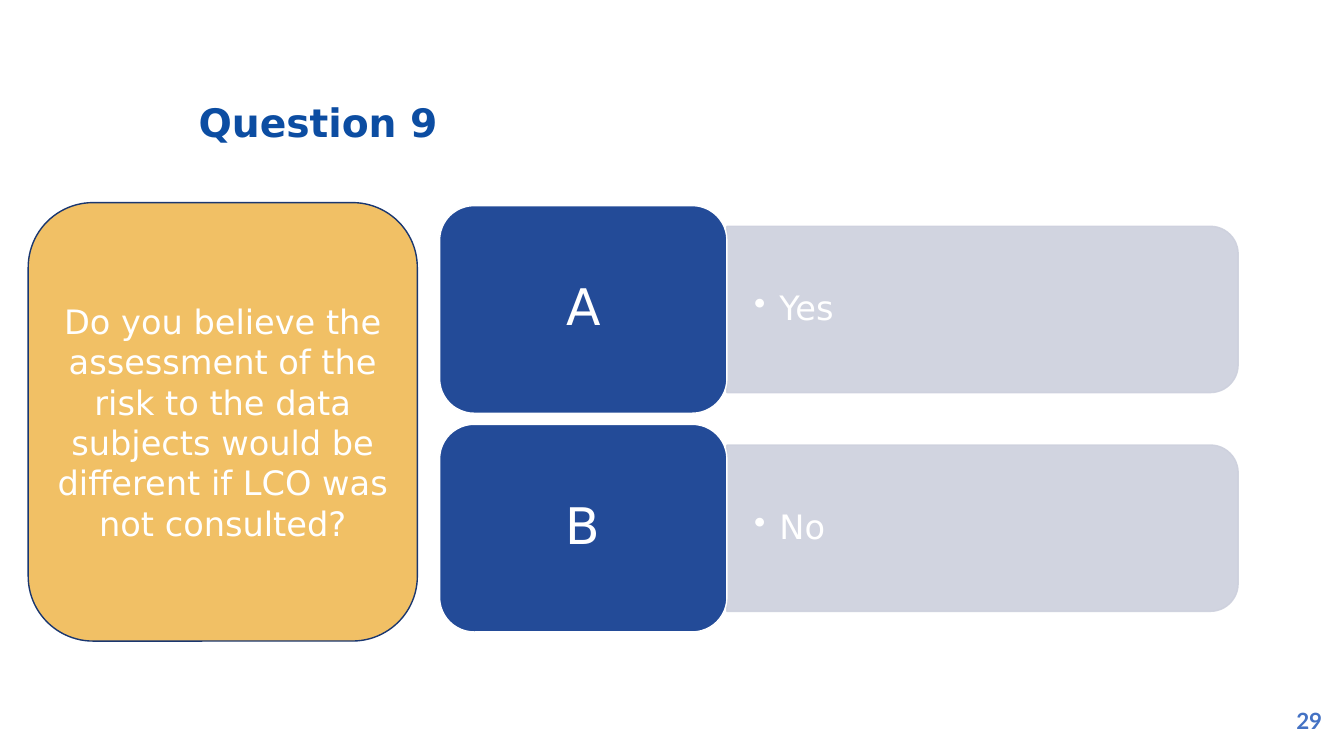
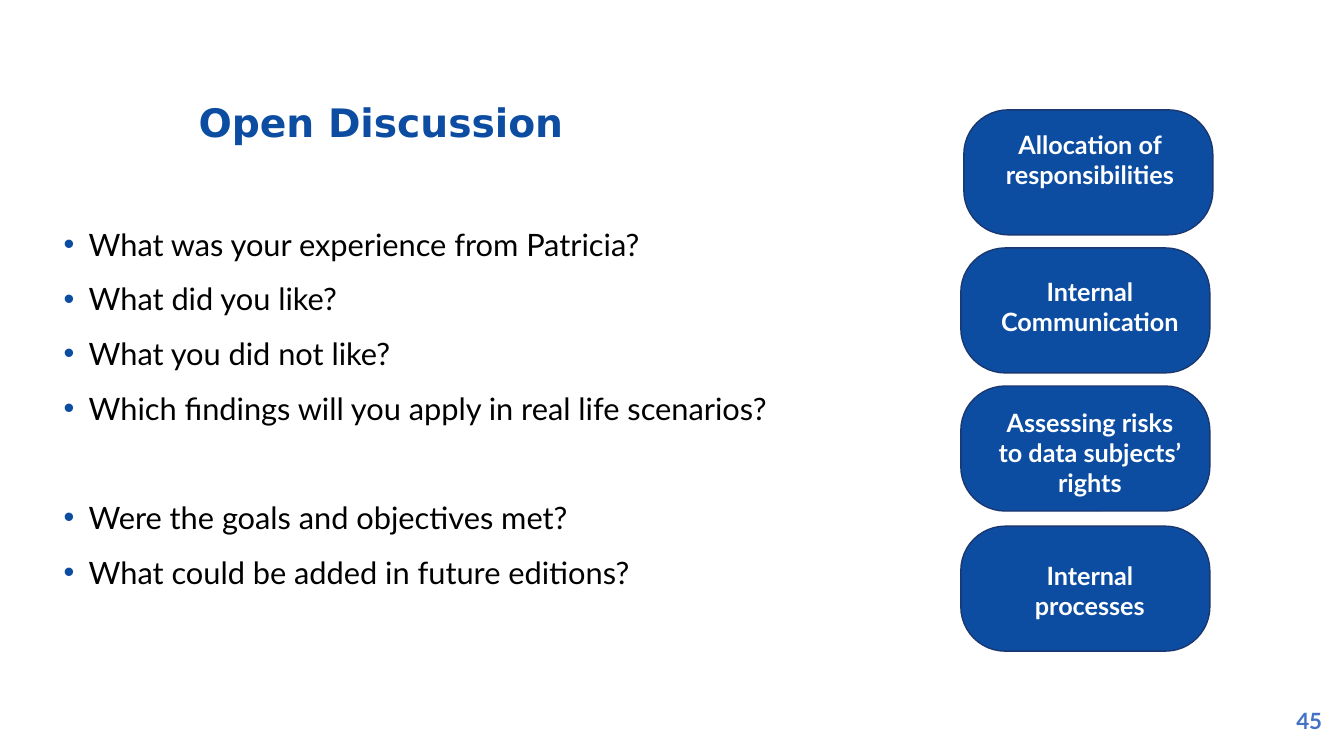
from lxml.etree import SubElement
from pptx import Presentation
from pptx.dml.color import RGBColor
from pptx.enum.shapes import MSO_SHAPE
from pptx.enum.text import MSO_ANCHOR, MSO_AUTO_SIZE, PP_ALIGN
from pptx.oxml.ns import qn
from pptx.util import Inches, Pt

BLUE = RGBColor(0x0C, 0x4D, 0xA2)
NAVY = RGBColor(0x1A, 0x37, 0x70)
ROYAL = RGBColor(0x23, 0x4B, 0x98)
SKY = RGBColor(0x44, 0x72, 0xC4)
GOLD = RGBColor(0xF1, 0xC0, 0x65)
MIST = RGBColor(0xCD, 0xD0, 0xDD)
WHITE = RGBColor(0xFF, 0xFF, 0xFF)
BLACK = RGBColor(0, 0, 0)
WIDE = "DejaVu Sans"
SLIM = "Lato"

OPTIONS = [("A", "Yes"), ("B", "No")]
POINTS = [
    ("What was your experience from Patricia?", 0),
    ("What did you like?", 10),
    ("What you did not like?", 10),
    ("Which findings will you apply in real life scenarios?", 10),
    ("Were the goals and objectives met?", 49),
    ("What could be added in future editions?", 10),
]
TOPICS = [
    ("Allocation of responsibilities", 9.56, 1.09, 0.06),
    ("Internal Communication", 9.53, 2.46, 0.15),
    ("Assessing risks to data subjects’ rights", 9.53, 3.83, 0.08),
    ("Internal processes", 9.53, 5.22, 0.21),
]


def place(item, left, top, width, height):
    item.left, item.top = Inches(left), Inches(top)
    item.width, item.height = Inches(width), Inches(height)


def setup(frame, anchor=MSO_ANCHOR.MIDDLE, pads=(0.1, 0.05, 0.1, 0.05)):
    frame.word_wrap = True
    frame.auto_size = MSO_AUTO_SIZE.NONE
    frame.vertical_anchor = anchor
    frame.margin_left, frame.margin_top, frame.margin_right, frame.margin_bottom = map(Inches, pads)


def bullet(para, color):
    props = para._p.get_or_add_pPr()
    props.set("marL", str(Inches(0.25)))
    props.set("indent", str(-Inches(0.25)))
    tint = SubElement(props, qn("a:buClr"))
    SubElement(tint, qn("a:srgbClr")).set("val", str(color))
    SubElement(props, qn("a:buChar")).set("char", "•")


def write(frame, text, size=24, font=WIDE, color=WHITE, bold=False,
          align=PP_ALIGN.CENTER, lines=1.0, before=0, mark=None, more=False):
    para = frame.add_paragraph() if more else frame.paragraphs[0]
    if mark is not None:
        bullet(para, mark)
    para.alignment = align
    para.line_spacing = lines
    para.space_before = Pt(before)
    run = para.add_run()
    run.text = text
    run.font.size = Pt(size)
    run.font.name = font
    run.font.bold = bold
    run.font.color.rgb = color


def label(slide, box, text, pads=(0.1, 0.05, 0.1, 0.05), **style):
    item = slide.shapes.add_textbox(*map(Inches, box))
    setup(item.text_frame, pads=pads)
    write(item.text_frame, text, **style)


def card(slide, kind, box, fill, line):
    item = slide.shapes.add_shape(kind, *map(Inches, box))
    item.shadow.inherit = False
    item.fill.solid()
    item.fill.fore_color.rgb = fill
    item.line.color.rgb = line
    item.line.width = Pt(1)
    setup(item.text_frame)
    return item


def fade(item, share):
    for color in item._element.spPr.iter(qn("a:srgbClr")):
        SubElement(color, qn("a:alpha")).set("val", str(share * 1000))


def page(deck, layout, title, number):
    slide = deck.slides.add_slide(deck.slide_layouts[layout])
    head = slide.shapes.title
    place(head, 1.87, 0.88, 9.52, 0.71)
    setup(head.text_frame, MSO_ANCHOR.TOP)
    write(head.text_frame, title, size=28, color=BLUE, bold=True,
          align=PP_ALIGN.LEFT, lines=Pt(36.6))
    label(slide, (12.74, 6.95, 0.49, 0.4), number, size=16, font=SLIM, color=SKY, bold=True)
    return slide


def choice(slide, top, letter, answer):
    long, tall, left, mid = 5.07, 1.65, 7.21, top + 1.03
    band = card(slide, MSO_SHAPE.ROUND_2_SAME_RECTANGLE,
                (left + (long - tall) / 2, mid - long / 2, tall, long), MIST, MIST)
    band.rotation = 90
    fade(band, 90)
    label(slide, (left, mid - 0.75, 4.99, 1.5), answer, pads=(0.27, 0.14, 0.27, 0.14),
          align=PP_ALIGN.LEFT, lines=0.9, mark=WHITE)
    tile = card(slide, MSO_SHAPE.ROUNDED_RECTANGLE, (4.36, top, 2.85, 2.06), ROYAL, WHITE)
    write(tile.text_frame, letter, size=36, lines=0.9)


def topic(slide, text, left, top, drop):
    pill = card(slide, MSO_SHAPE.ROUNDED_RECTANGLE, (left, top, 2.47, 1.24), BLUE, NAVY)
    pill.adjustments[0] = 0.355
    start = 9.75 - left
    setup(pill.text_frame, MSO_ANCHOR.TOP, (start, drop, 0.35 - start, 0))
    write(pill.text_frame, text, size=18, font=SLIM, bold=True)


def quiz(deck):
    slide = page(deck, 5, "Question 9", "29")
    panel = card(slide, MSO_SHAPE.ROUNDED_RECTANGLE, (0.28, 2.01, 3.86, 4.35), GOLD, NAVY)
    write(panel.text_frame, "Do you believe the assessment of the risk to the data "
          "subjects would be different if LCO was not consulted?")
    for row, (letter, answer) in enumerate(OPTIONS):
        choice(slide, 2.04 + 2.17 * row, letter, answer)


def debate(deck):
    slide = page(deck, 1, "Open Discussion", "45")
    body = slide.placeholders[1]
    place(body, 0.53, 2.15, 7.2, 4.56)
    setup(body.text_frame, MSO_ANCHOR.TOP)
    for row, (text, before) in enumerate(POINTS):
        write(body.text_frame, text, size=22, font=SLIM, color=BLACK, align=PP_ALIGN.LEFT,
              lines=1.1, before=before, mark=BLUE, more=row > 0)
    for entry in TOPICS:
        topic(slide, *entry)


def main():
    deck = Presentation()
    deck.slide_width, deck.slide_height = Inches(13.33), Inches(7.5)
    quiz(deck)
    debate(deck)
    deck.save("out.pptx")


if __name__ == "__main__":
    main()
